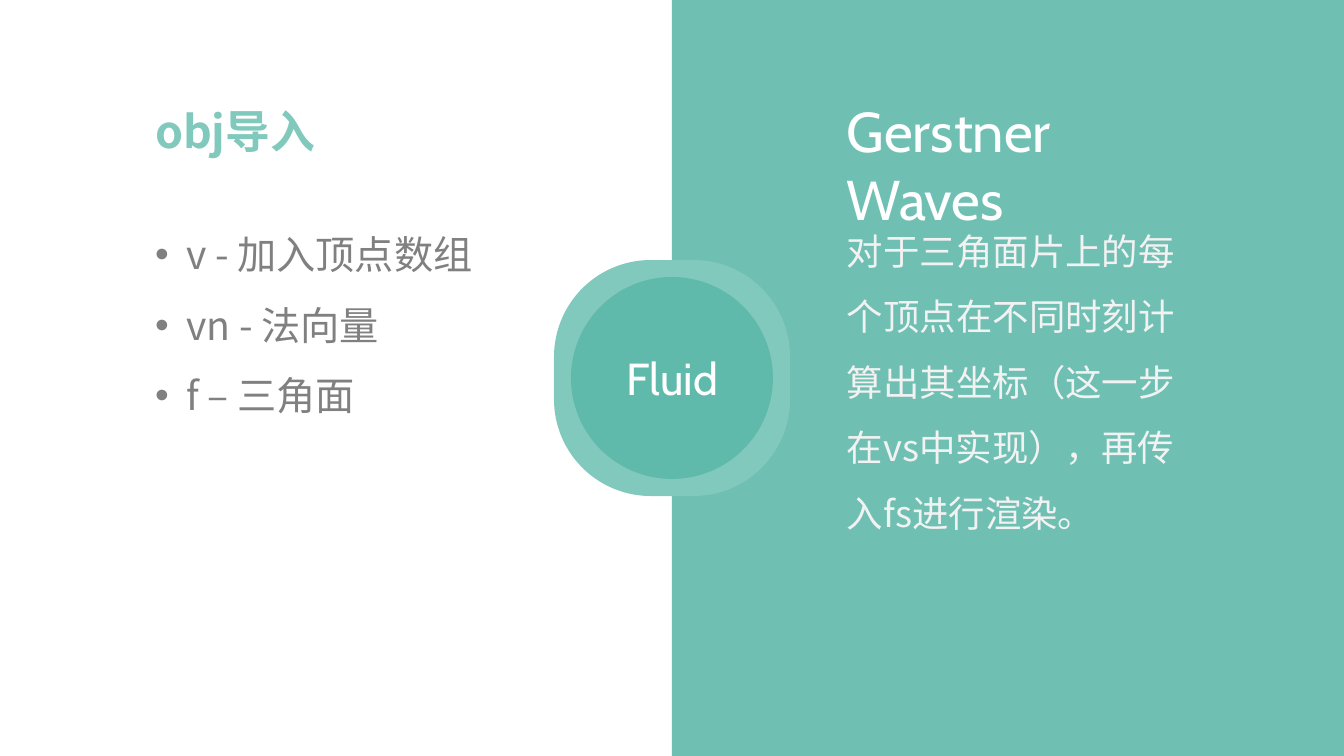
from lxml import etree
from pptx import Presentation
from pptx.dml.color import RGBColor
from pptx.enum import shapes, text
from pptx.oxml import ns
from pptx.util import Pt

PX = 914400 / 100.8
WIDTH, HEIGHT = 1344, 756
COLOURS = {"teal": "60BAAB", "mint": "81C9BD", "white": "FFFFFF",
           "pale": "F2F2F2", "grey": "808080"}
LATIN, CJK = "Cabin", "Noto Sans CJK SC"
LEFT, CENTER = text.PP_ALIGN.LEFT, text.PP_ALIGN.CENTER
COMPARISON_LAYOUT = 4


def emu(px):
    """Turn pixels into EMU."""
    return round(px * PX)


def colour(name):
    """Look up a named colour."""
    return RGBColor.from_string(COLOURS[name])


def set_all(target, values):
    """Set every attribute named in a dict."""
    for name, value in values.items():
        setattr(target, name, value)


def set_position(shape, area):
    """Move a shape to a left, top, width, height box in pixels."""
    set_all(shape, dict(zip(("left", "top", "width", "height"), map(emu, area))))


def add_filled(page, kind, area, fill):
    """Add a plain filled shape without line or shadow."""
    shape = page.shapes.add_shape(kind, *map(emu, area))
    shape.shadow.inherit = False
    shape.fill.solid()
    shape.fill.fore_color.rgb = colour(fill)
    shape.line.fill.background()
    return shape


def fill_placeholder(page, index, area, lines, size, tint, font=CJK, bold=False,
                     align=LEFT, spacing=1.0, bullet=False, right_inset=10):
    """Place a placeholder in front, then write and format its lines."""
    box = next(item for item in page.placeholders
               if item.placeholder_format.idx == index)
    page.shapes._spTree.append(box._element)
    set_position(box, area)
    frame = box.text_frame
    set_all(frame, {"word_wrap": True, "auto_size": text.MSO_AUTO_SIZE.NONE,
                    "vertical_anchor": text.MSO_ANCHOR.TOP,
                    "margin_left": emu(10), "margin_right": emu(right_inset),
                    "margin_top": emu(5), "margin_bottom": emu(5)})
    for number, line in enumerate(lines):
        para = frame.paragraphs[0] if number == 0 else frame.add_paragraph()
        properties = para._p.get_or_add_pPr()
        indent = emu(31) if bullet else 0
        properties.set("marL", str(indent))
        properties.set("indent", str(-indent))
        set_all(para, {"alignment": align, "line_spacing": spacing,
                       "space_before": Pt(0), "space_after": Pt(0)})
        if bullet:
            etree.SubElement(properties, ns.qn("a:buFont"), typeface="Arial")
            etree.SubElement(properties, ns.qn("a:buChar"), char="•")
        else:
            etree.SubElement(properties, ns.qn("a:buNone"))
        span = para.add_run()
        span.text = line
        set_all(span.font, {"size": Pt(size), "bold": bold, "name": font})
        span.font.color.rgb = colour(tint)
        etree.SubElement(span._r.get_or_add_rPr(), ns.qn("a:ea"), typeface=font)


def add_import_side(page, area):
    """Write the heading and bulleted list of the left half."""
    left, top = area[:2]
    fill_placeholder(page, 1, (left + 145, top + 99, 220, 65), ["obj导入"],
                     32, "mint", bold=True)
    fill_placeholder(page, 2, (left + 145, top + 202, 368, 216),
                     ["v - 加入顶点数组", "vn - 法向量", "f – 三角面"],
                     28, "grey", spacing=1.5, bullet=True)


def add_waves_side(page, area):
    """Draw the tinted right half with its heading and explanation."""
    left, top = area[:2]
    panel = add_filled(page, shapes.MSO_SHAPE.RECTANGLE, area, "teal")
    tint = panel._element.spPr.find(".//" + ns.qn("a:srgbClr"))
    etree.SubElement(tint, ns.qn("a:alpha"), val="90000")
    fill_placeholder(page, 3, (left + 165, top + 92, 388, 78), ["Gerstner Waves"],
                     40, "white", font=LATIN, right_inset=40)
    fill_placeholder(page, 4, (left + 165, top + 202, 377, 334),
                     ["对于三角面片上的每个顶点在不同时刻计算出其坐标"
                      "（这一步在vs中实现），再传入fs进行渲染。"],
                     26, "pale", spacing=1.5)


def add_badge(page, area):
    """Draw the central badge with the slide title on it."""
    left, top, width, height = area
    ring = add_filled(page, shapes.MSO_SHAPE.ROUNDED_RECTANGLE, area, "mint")
    ring.adjustments[0] = 0.41
    rim = 17
    disc = (left + rim, top + rim, width - 2 * rim, height - 2 * rim)
    add_filled(page, shapes.MSO_SHAPE.OVAL, disc, "teal")
    fill_placeholder(page, 0, (left + 19, top + 86, width - 38, 65), ["Fluid"],
                     32, "white", font=LATIN, align=CENTER)


def main():
    """Build and save the slide."""
    deck = Presentation()
    set_all(deck, {"slide_width": emu(WIDTH), "slide_height": emu(HEIGHT)})
    page = deck.slides.add_slide(deck.slide_layouts[COMPARISON_LAYOUT])
    page.background.fill.solid()
    page.background.fill.fore_color.rgb = colour("white")
    half = WIDTH // 2
    add_waves_side(page, (half, 0, half, HEIGHT))
    add_import_side(page, (0, 0, half, HEIGHT))
    add_badge(page, (554, 260, 236, 236))
    deck.save("out.pptx")


if __name__ == "__main__":
    main()
